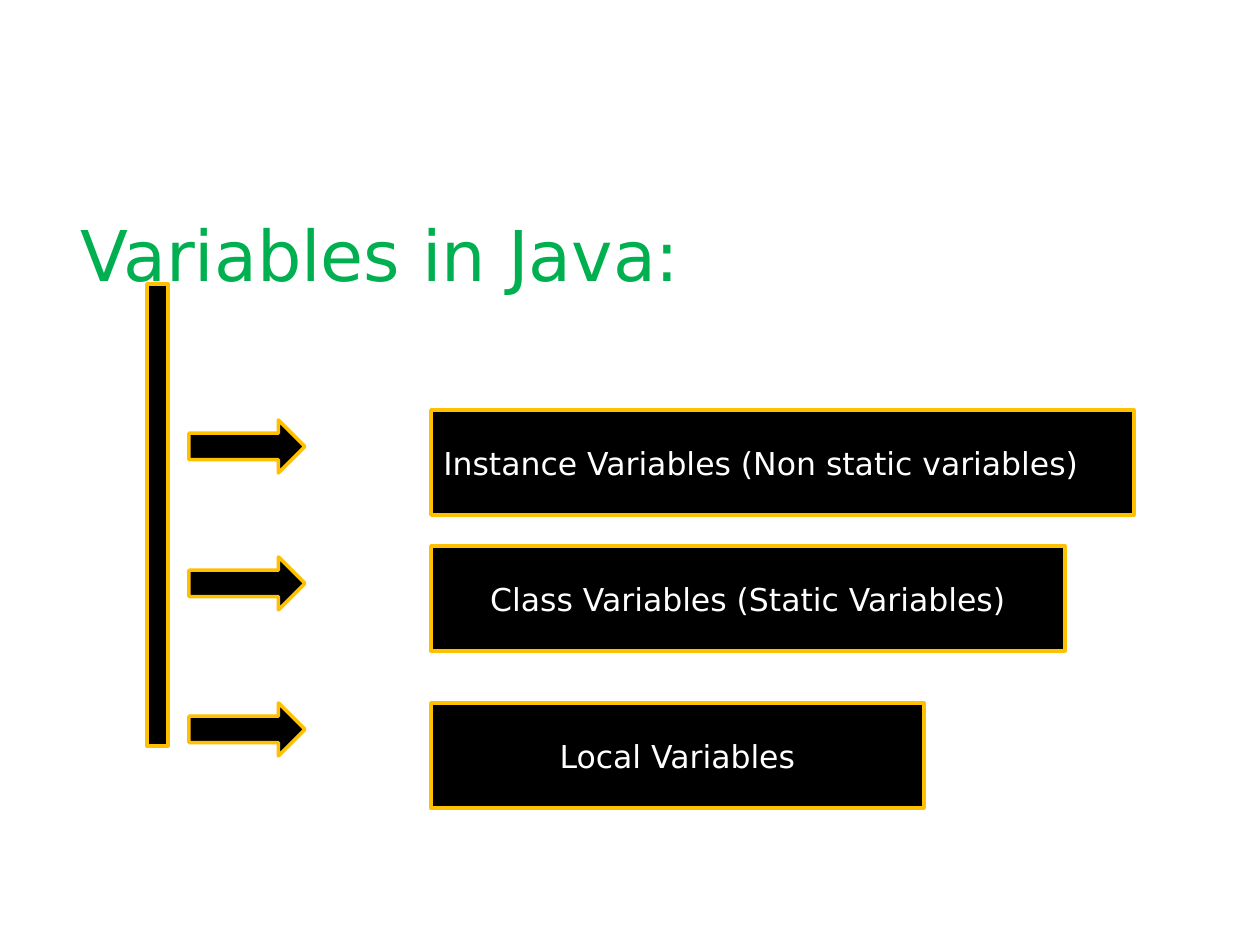
from pptx import Presentation, util as u
from pptx.dml.color import RGBColor
from pptx.enum import shapes, text

PX = u.Inches(1) // 126
FONT = "DejaVu Sans"
BLACK = RGBColor(0, 0, 0)
WHITE = RGBColor(255, 255, 255)
GOLD = RGBColor(0xFF, 0xC0, 0x00)
GREEN = RGBColor(0x00, 0xB0, 0x50)
KIND = shapes.MSO_SHAPE
ALIGN = text.PP_ALIGN

deck = Presentation()
deck.slide_width = 1260 * PX
deck.slide_height = 945 * PX
slide = deck.slides.add_slide(deck.slide_layouts[6])


def add_block(kind, *box):
    """Add a black shape with a gold outline; box is in px."""
    shape = slide.shapes.add_shape(kind, *(n * PX for n in box))
    shape.shadow.inherit = False
    shape.fill.solid()
    shape.fill.fore_color.rgb = BLACK
    shape.line.color.rgb = GOLD
    shape.line.width = u.Pt(2)
    return shape


def write(frame, words, size, color, align):
    frame.word_wrap = True
    para = frame.paragraphs[0]
    para.text = words
    para.alignment = align
    para.font.name = FONT
    para.font.size = u.Pt(size)
    para.font.color.rgb = color


title = slide.shapes.add_textbox(*(n * PX for n in (53, 199, 1134, 262))).text_frame
title.margin_left = 28 * PX
title.margin_top = 12 * PX
write(title, "Variables in Java:", 40, GREEN, ALIGN.LEFT)

# Label, box top, box width, arrow top, alignment
rows = [
    ("Local Variables", 703, 493, 703, ALIGN.CENTER),
    ("Class Variables (Static Variables)", 546, 634, 557, ALIGN.CENTER),
    ("Instance Variables (Non static variables)", 410, 703, 420, ALIGN.LEFT),
]
for label, top, width, _, align in rows:
    frame = add_block(KIND.RECTANGLE, 431, top, width, 105).text_frame
    frame.vertical_anchor = text.MSO_ANCHOR.MIDDLE
    write(frame, label, 18, WHITE, align)

add_block(KIND.RECTANGLE, 147, 284, 21, 462)
for _, _, _, top, _ in reversed(rows):
    add_block(KIND.RIGHT_ARROW, 189, top, 116, 53)

deck.save("out.pptx")
